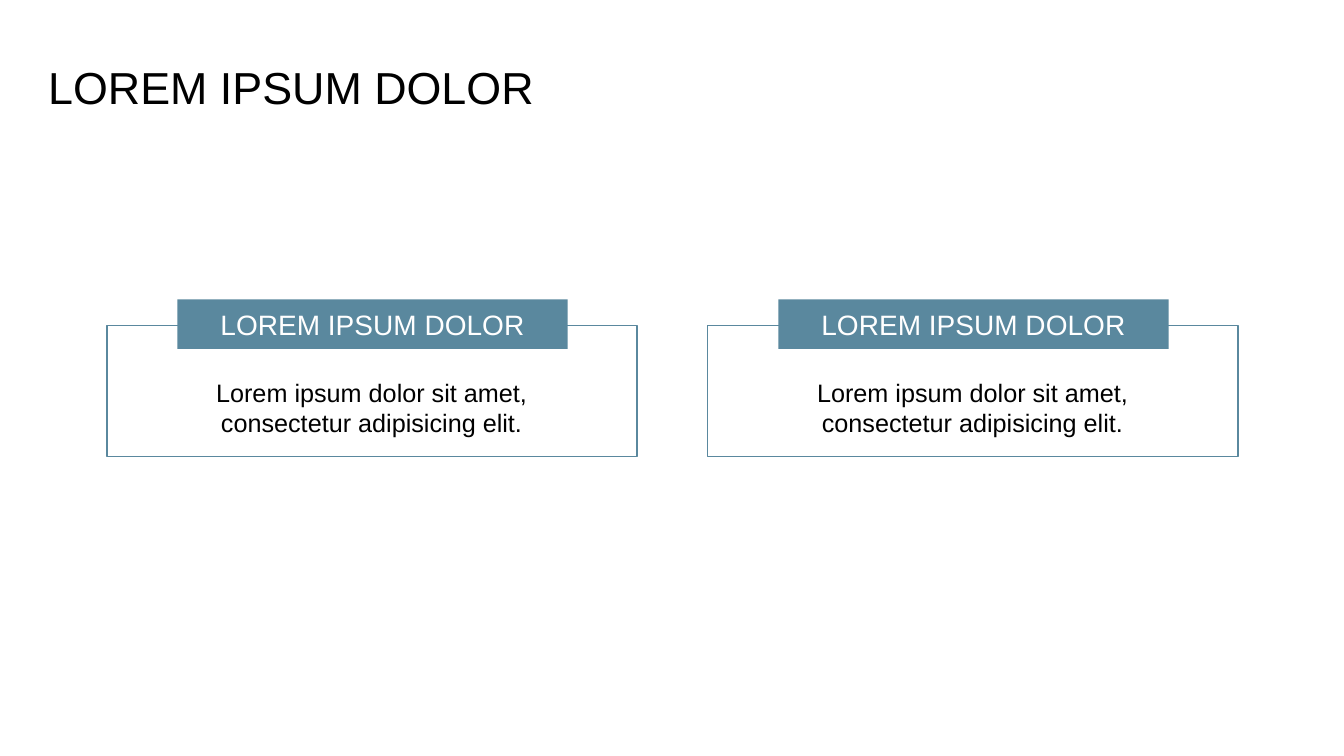
from pptx import Presentation
from pptx import util as u
from pptx.dml.color import RGBColor
from pptx.enum import shapes, text

TEAL = RGBColor(0x5A, 0x88, 0x9E)
BLACK = RGBColor(0x00, 0x00, 0x00)
WHITE = RGBColor(0xFF, 0xFF, 0xFF)

HEADING = "LOREM IPSUM DOLOR"
BODY = "Lorem ipsum dolor sit amet, consectetur adipisicing elit."


class SlideBuilder:
    """Holds the text style and the current slide."""

    font_name = "Arial"

    def __init__(self, page):
        self.page = page

    def fill_text(self, box, words, size, color, **paragraph_format):
        frame = box.text_frame
        frame.word_wrap = True
        para = frame.paragraphs[0]
        for name, value in paragraph_format.items():
            setattr(para, name, value)
        span = para.add_run()
        span.text = words
        span.font.color.rgb = color
        for name, value in {"name": self.font_name, "size": u.Pt(size)}.items():
            setattr(span.font, name, value)

    def rectangle(self, left, top, width, height):
        box = self.page.shapes.add_shape(
            shapes.MSO_SHAPE.RECTANGLE,
            u.Inches(left), u.Inches(top), u.Inches(width), u.Inches(height))
        box.shadow.inherit = False
        return box

    def outline(self, *place):
        box = self.rectangle(*place)
        box.fill.background()
        box.line.color.rgb = TEAL
        box.line.width = u.Pt(1)

    def banner(self, words, *place):
        box = self.rectangle(*place)
        box.fill.solid()
        box.fill.fore_color.rgb = TEAL
        box.line.fill.background()
        box.text_frame.vertical_anchor = text.MSO_ANCHOR.MIDDLE
        self.fill_text(box, words, 20, WHITE, alignment=text.PP_ALIGN.CENTER)

    def label(self, words, left, top, width, height, size,
              anchor=text.MSO_ANCHOR.TOP, **paragraph_format):
        box = self.page.shapes.add_textbox(
            u.Inches(left), u.Inches(top), u.Inches(width), u.Inches(height))
        box.text_frame.vertical_anchor = anchor
        self.fill_text(box, words, size, BLACK, **paragraph_format)

    def card(self, left):
        self.outline(left, 3.23, 5.26, 1.3)
        self.label(BODY, left + 0.38, 3.69, 4.49, 0.74, 18,
                   alignment=text.PP_ALIGN.CENTER)
        self.banner(HEADING, left + 0.7, 2.97, 3.87, 0.49)


def main():
    deck = Presentation()
    deck.slide_width = u.Inches(13.33)
    deck.slide_height = u.Inches(7.5)
    builder = SlideBuilder(deck.slides.add_slide(deck.slide_layouts[6]))

    # Title
    builder.label(HEADING, 0.38, 0.6, 9.24, 0.59, 32,
                  anchor=text.MSO_ANCHOR.MIDDLE, line_spacing=0.9)

    # Two cards side by side
    for left in (1.06, 7.02):
        builder.card(left)

    deck.save("out.pptx")


if __name__ == "__main__":
    main()
